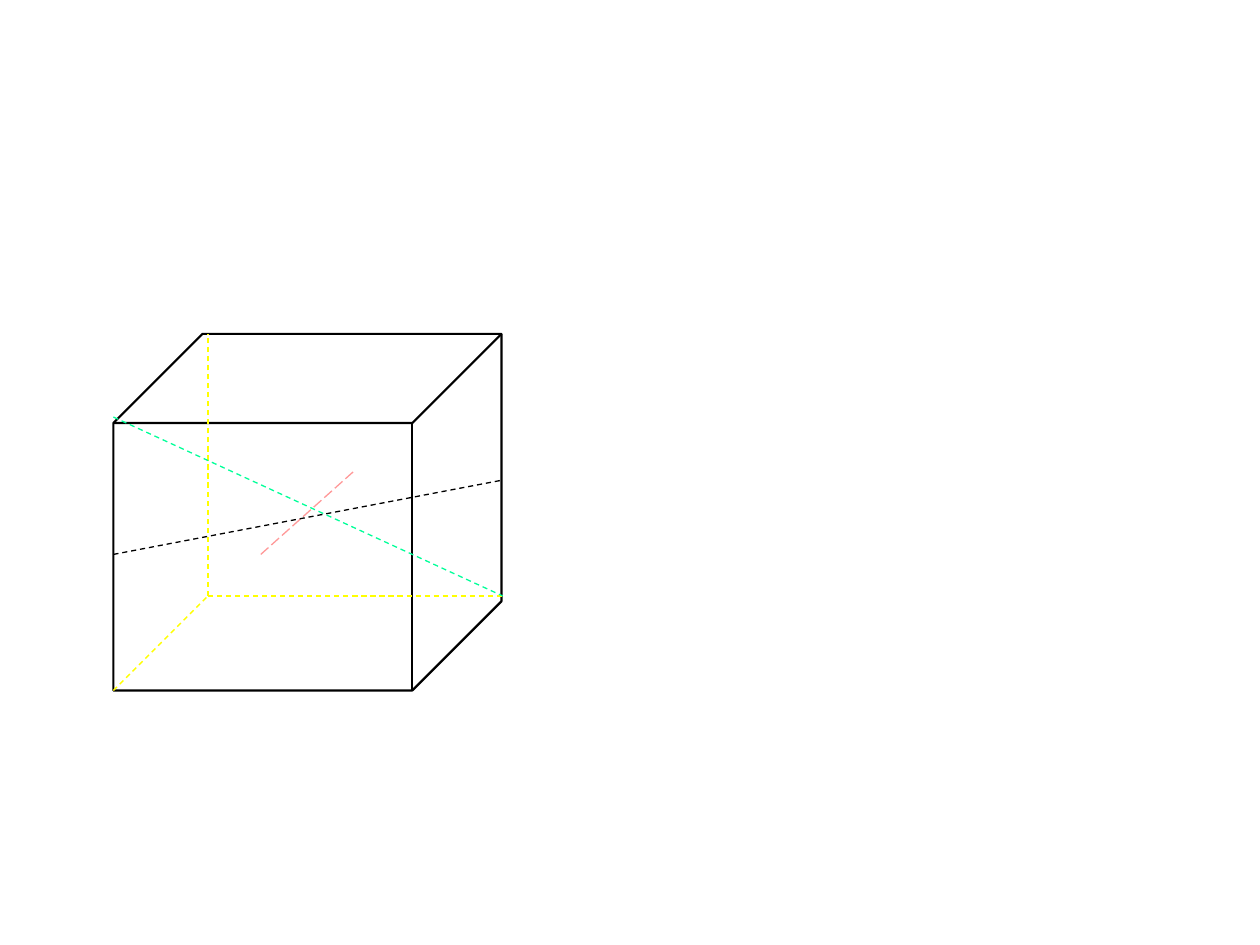
import pptx
import pptx.util
import pptx.dml.color
import pptx.enum.dml
import pptx.enum.shapes
import lxml.etree

Inches = pptx.util.Inches
Pt = pptx.util.Pt
RGBColor = pptx.dml.color.RGBColor
Dash = pptx.enum.dml.MSO_LINE

BLACK = RGBColor(0x00, 0x00, 0x00)
YELLOW = RGBColor(0xFF, 0xFF, 0x00)
PINK = RGBColor(0xFF, 0x99, 0x99)
GREEN = RGBColor(0x00, 0xFF, 0x99)

deck = pptx.Presentation()
deck.slide_width = Inches(10)
deck.slide_height = Inches(7.5)
slide = deck.slides.add_slide(deck.slide_layouts[6])

cube = slide.shapes.add_shape(
    pptx.enum.shapes.MSO_SHAPE.CUBE,
    Inches(0.9), Inches(2.65), Inches(3.08), Inches(2.83))
cube.adjustments[0] = 0.25
cube.shadow.inherit = False
cube.fill.background()
cube.line.color.rgb = BLACK
cube.line.width = Pt(1.25)

left, right = 0.9, 3.99
corner = (1.65, 4.73)
lines = [
    (corner, (right, 4.73), YELLOW, Dash.DASH),
    (corner, (1.65, 2.65), YELLOW, Dash.DASH),
    ((left, 5.48), corner, YELLOW, Dash.DASH),
    ((2.07, 4.4), (2.82, 3.73), PINK, Dash.LONG_DASH),
    ((left, 3.31), (right, 4.73), GREEN, Dash.DASH),
    ((left, 4.4), (right, 3.81), BLACK, Dash.DASH),
]
for start, end, color, dash in lines:
    line = slide.shapes.add_connector(
        pptx.enum.shapes.MSO_CONNECTOR.STRAIGHT,
        *map(Inches, start + end))
    line.line.color.rgb = color
    line.line.width = Pt(0.75)
    line.line.dash_style = dash
    lxml.etree.SubElement(
        line._element.spPr,
        "{http://schemas.openxmlformats.org/drawingml/2006/main}effectLst")

deck.save("out.pptx")
